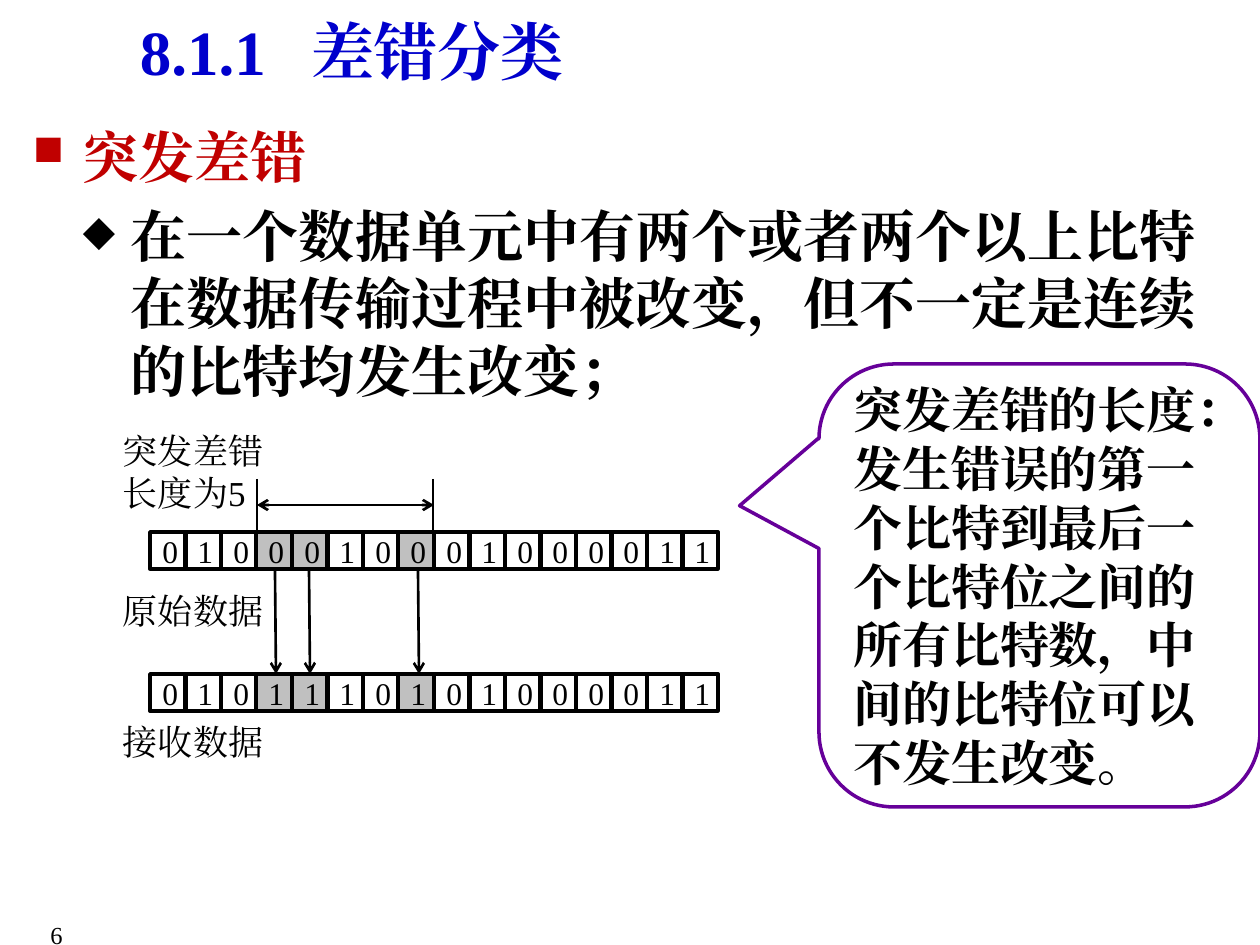
from dataclasses import dataclass
from typing import Optional

from lxml import etree
from pptx import Presentation, util as u
from pptx.dml import color
from pptx.enum import shapes, text
from pptx.oxml import ns

SCALE = 914400 / 126
FONT = "Times New Roman"
COLORS = {"black": "000000", "title": "0000CC", "heading": "C00000",
          "changed": "C0C0C0", "callout": "660099"}
CELL_WIDTH, CELL_HEIGHT, ROW_LEFT = 36, 37, 150
CHANGED_BITS = {3, 4, 7}


@dataclass(frozen=True)
class Paragraph:
    words: str
    size: int
    color: str = "black"
    bold: bool = False
    align: Optional[text.PP_ALIGN] = None
    bullet: str = ""
    margin: int = 0
    indent: int = 0
    before: int = 0
    tab: int = 0


@dataclass(frozen=True)
class TextBox:
    box: tuple[int, int, int, int]
    paragraphs: tuple[Paragraph, ...]
    inset: int = 13


@dataclass(frozen=True)
class BitRow:
    top: int
    bits: str


@dataclass(frozen=True)
class Line:
    start: tuple[int, int]
    end: tuple[int, int]
    width: float = 1.5
    head: bool = False
    tail: bool = False


TEXT_BOXES = (
    TextBox((20, 116, 1221, 299), (
        Paragraph("突发差错", 32, "heading", True, bullet="■", margin=50, indent=-50),
        Paragraph("在一个数据单元中有两个或者两个以上比特在数据传输过程中被改变，"
                  "但不一定是连续的比特均发生改变；",
                  32, bold=True, bullet="◆", margin=98, indent=-48, before=7))),
    TextBox((110, 583, 166, 55), (Paragraph("原始数据", 20),)),
    TextBox((110, 714, 231, 55), (Paragraph("接收数据", 20),)),
    TextBox((110, 423, 360, 97), (Paragraph("突发差错", 20), Paragraph("长度为5", 20))),
    TextBox((5, 6, 694, 89), (Paragraph("8.1.1\t差错分类", 36, "title", True, tab=172),), 135),
    TextBox((-94, 914, 169, 63), (Paragraph("6", 14, align=text.PP_ALIGN.RIGHT),)),
)
BIT_ROWS = (BitRow(532, "0100010001000011"), BitRow(674, "0101110101000011"))
LINES = (
    Line((257, 505), (434, 505), head=True, tail=True),
    *(Line((x, 479), (x, 532), 0.75) for x in (257, 433)),
    *(Line((x, 570), (x + 1, 674), tail=True) for x in (275, 309, 418)),
)
CALLOUT = Paragraph("突发差错的长度：发生错误的第一个比特到最后一个比特位之间的所有比特数，"
                    "中间的比特位可以不发生改变。", 28, bold=True)


def px(length: float) -> u.Emu:
    return u.Emu(round(length * SCALE))


def rgb(name: str) -> color.RGBColor:
    return color.RGBColor.from_string(COLORS[name])


def add_element(parent, tag: str, **attributes: str):
    element = etree.SubElement(parent, ns.qn(tag))
    for name, value in attributes.items():
        element.set(name, value)
    return element


def write_paragraph(paragraph, content: Paragraph) -> None:
    if content.align is not None:
        paragraph.alignment = content.align
    if content.before:
        paragraph.space_before = u.Pt(content.before)
    properties = paragraph._p.get_or_add_pPr()
    if content.bullet:
        properties.set("marL", str(px(content.margin)))
        properties.set("indent", str(px(content.indent)))
        add_element(properties, "a:buSzPct", val="75000")
        add_element(properties, "a:buChar", char=content.bullet)
    if content.tab:
        tabs = add_element(properties, "a:tabLst")
        add_element(tabs, "a:tab", pos=str(px(content.tab)), algn="l")
    run = paragraph.add_run()
    run.text = content.words
    run.font.name = FONT
    run.font.size = u.Pt(content.size)
    run.font.bold = content.bold
    run.font.color.rgb = rgb(content.color)
    add_element(run._r.get_or_add_rPr(), "a:ea", typeface=FONT)


def add_text_box(slide, item: TextBox) -> None:
    shape = slide.shapes.add_textbox(*map(px, item.box))
    frame = shape.text_frame
    frame.word_wrap = True
    frame.margin_left = px(item.inset)
    for index, content in enumerate(item.paragraphs):
        paragraph = frame.add_paragraph() if index else frame.paragraphs[0]
        write_paragraph(paragraph, content)


def add_outlined_shape(slide, kind: shapes.MSO_SHAPE, box: tuple[int, int, int, int],
                       line: str, content: Paragraph, fill: str = ""):
    shape = slide.shapes.add_shape(kind, *map(px, box))
    shape.shadow.inherit = False
    if fill:
        shape.fill.solid()
        shape.fill.fore_color.rgb = rgb(fill)
    else:
        shape.fill.background()
    shape.line.color.rgb = rgb(line)
    shape.line.width = u.Pt(2)
    frame = shape.text_frame
    frame.word_wrap = True
    frame.vertical_anchor = text.MSO_ANCHOR.MIDDLE
    write_paragraph(frame.paragraphs[0], content)
    return shape


def add_bit_row(slide, row: BitRow) -> None:
    for index, bit in enumerate(row.bits):
        left = ROW_LEFT + index * 71 // 2
        add_outlined_shape(slide, shapes.MSO_SHAPE.RECTANGLE,
                           (left, row.top, CELL_WIDTH, CELL_HEIGHT), "black",
                           Paragraph(bit, 18, align=text.PP_ALIGN.CENTER),
                           "changed" if index in CHANGED_BITS else "")


def add_line(slide, line: Line) -> None:
    connector = slide.shapes.add_connector(
        shapes.MSO_CONNECTOR.STRAIGHT, *map(px, line.start + line.end))
    connector.line.color.rgb = rgb("black")
    connector.line.width = u.Pt(line.width)
    outline = connector.line._get_or_add_ln()
    if line.head:
        add_element(outline, "a:headEnd", type="arrow")
    if line.tail:
        add_element(outline, "a:tailEnd", type="arrow")
    add_element(connector._element.spPr, "a:effectLst")


def add_callout(slide) -> None:
    callout = add_outlined_shape(
        slide, shapes.MSO_SHAPE.ROUNDED_RECTANGULAR_CALLOUT, (819, 364, 441, 443),
        "callout", Paragraph(CALLOUT.words, CALLOUT.size, bold=True,
                             align=text.PP_ALIGN.LEFT))
    for index, value in enumerate((-0.68, -0.18, 0.17)):
        callout.adjustments[index] = value


def main() -> None:
    presentation = Presentation()
    presentation.slide_width, presentation.slide_height = px(1260), px(945)
    slide = presentation.slides.add_slide(presentation.slide_layouts[6])
    for row in BIT_ROWS:
        add_bit_row(slide, row)
    for line in LINES:
        add_line(slide, line)
    add_callout(slide)
    for item in TEXT_BOXES:
        add_text_box(slide, item)
    presentation.save("out.pptx")


if __name__ == "__main__":
    main()
